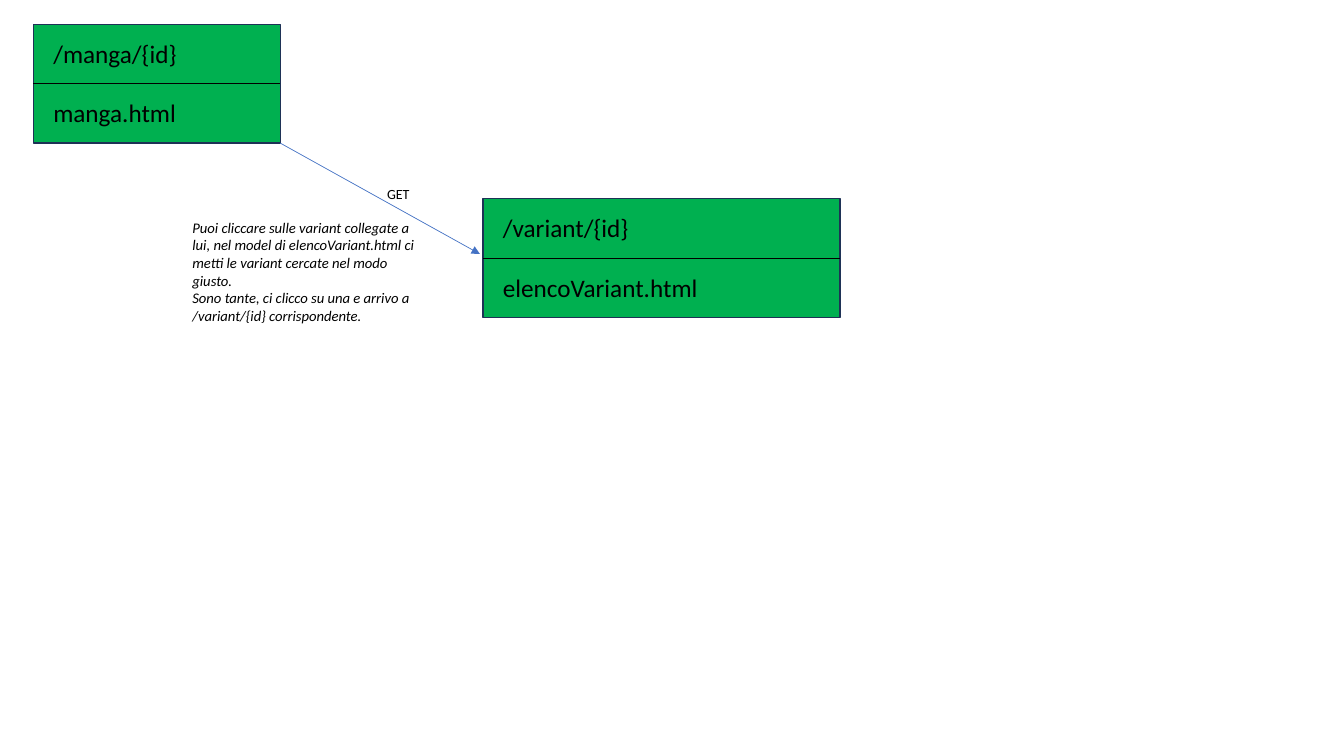
import lxml.etree
import pptx
import pptx.dml.color
import pptx.enum.shapes
import pptx.enum.text
import pptx.oxml.ns
import pptx.util
from pptx.util import Inches

COLORS = {"page": "00B050", "border": "1E3256", "text": "000000", "arrow": "4472C4"}
FONT = "Calibri"
BOX_HEIGHT = 1.18


def color(name):
    return pptx.dml.color.RGBColor.from_string(COLORS[name])


def add_text(slide, text, left, top, width, height, size, italic=False):
    text_box = slide.shapes.add_textbox(Inches(left), Inches(top), Inches(width), Inches(height))
    frame = text_box.text_frame
    frame.word_wrap = True
    frame.auto_size = pptx.enum.text.MSO_AUTO_SIZE.SHAPE_TO_FIT_TEXT
    paragraph = frame.paragraphs[0]
    paragraph.text = text
    paragraph.font.name = FONT
    paragraph.font.size = pptx.util.Pt(size)
    paragraph.font.italic = italic
    paragraph.font.color.rgb = color("text")


def add_line(slide, start, end, color_name, arrow=False):
    connector = slide.shapes.add_connector(
        pptx.enum.shapes.MSO_CONNECTOR.STRAIGHT, *map(Inches, start + end))
    connector.line.color.rgb = color(color_name)
    connector.line.width = pptx.util.Pt(0.5)
    properties = connector._element.spPr
    if arrow:
        outline = properties.find(pptx.oxml.ns.qn("a:ln"))
        lxml.etree.SubElement(outline, pptx.oxml.ns.qn("a:tailEnd"), type="triangle")
    lxml.etree.SubElement(properties, pptx.oxml.ns.qn("a:effectLst"))


def add_page_box(slide, left, top, width, route, template):
    shape = slide.shapes.add_shape(
        pptx.enum.shapes.MSO_SHAPE.RECTANGLE,
        Inches(left), Inches(top), Inches(width), Inches(BOX_HEIGHT))
    shape.shadow.inherit = False
    shape.fill.solid()
    shape.fill.fore_color.rgb = color("page")
    shape.line.color.rgb = color("border")
    shape.line.width = pptx.util.Pt(1)
    middle = top + BOX_HEIGHT / 2
    add_line(slide, (left, middle), (left + width, middle), "text")
    for text, text_top in ((route, top + 0.09), (template, middle + 0.09)):
        add_text(slide, text, left + 0.1, text_top, width - 0.2, 0.4, 18)


def add_request(slide, start, end, method, note):
    left, top = start
    add_line(slide, start, end, "arrow", arrow=True)
    add_text(slide, method, left + 0.96, top + 0.37, 0.45, 0.27, 10)
    add_text(slide, note, left - 0.97, top + 0.7, 2.51, 1.16, 10.5, italic=True)


def main():
    presentation = pptx.Presentation()
    presentation.slide_width = Inches(13.33)
    presentation.slide_height = Inches(7.5)
    slide = presentation.slides.add_slide(presentation.slide_layouts[6])
    add_page_box(slide, 0.33, 0.24, 2.45, "/manga/{id}", "manga.html")
    add_page_box(slide, 4.79, 1.97, 3.54, "/variant/{id}", "elencoVariant.html")
    add_request(
        slide, (2.78, 1.42), (4.76, 2.52), "GET",
        "Puoi cliccare sulle variant collegate a lui, nel model di elencoVariant.html "
        "ci metti le variant cercate nel modo giusto.\v"
        "Sono tante, ci clicco su una e arrivo a /variant/{id} corrispondente.")
    presentation.save("out.pptx")


if __name__ == "__main__":
    main()
